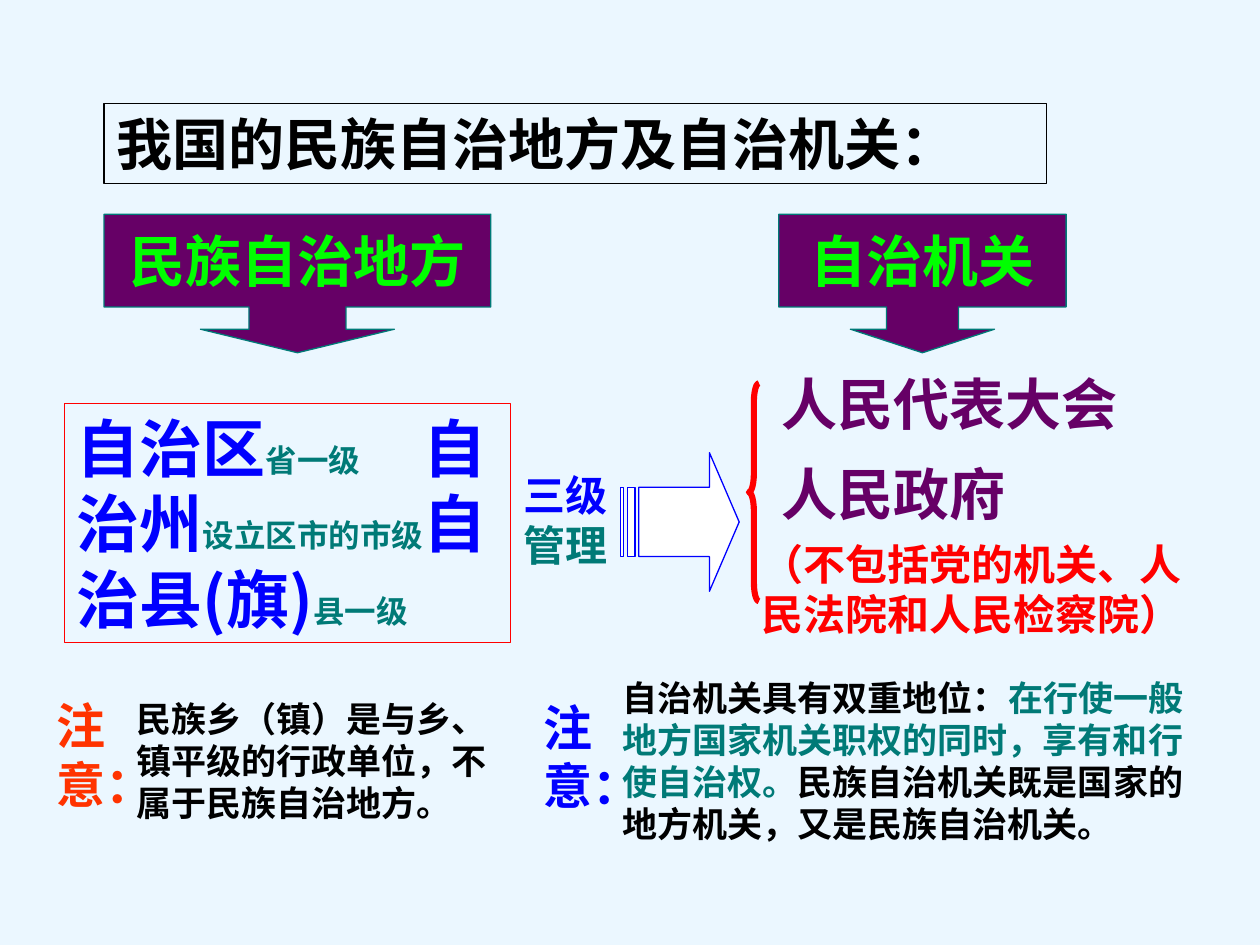
"""Build a slide on ethnic autonomous areas and their organs of self-government."""
from typing import NamedTuple

from lxml import etree
from pptx import Presentation
from pptx import util as u
from pptx.dml.color import RGBColor
from pptx.enum import shapes, text
from pptx.oxml import ns

Pt = u.Pt
BACKGROUND = RGBColor(0xEB, 0xF7, 0xFF)
BLACK = RGBColor(0x00, 0x00, 0x00)
WHITE = RGBColor(0xFF, 0xFF, 0xFF)
PURPLE = RGBColor(0x66, 0x00, 0x66)
TEAL = RGBColor(0x00, 0x7A, 0x77)
GREEN = RGBColor(0x00, 0xFF, 0x00)
BLUE = RGBColor(0x00, 0x00, 0xFF)
RED = RGBColor(0xFF, 0x00, 0x00)
ORANGE = RGBColor(0xFF, 0x33, 0x00)
ARIAL = "Arial"
NOTO_JP = "Noto Sans CJK JP"
NOTO_SC = "Noto Sans CJK SC"


class Box(NamedTuple):
    left: float
    top: float
    width: float
    height: float


class Run(NamedTuple):
    words: str
    size: float
    color: RGBColor
    font: str = ARIAL


class Label(NamedTuple):
    box: Box
    runs: list[Run]


class Callout(NamedTuple):
    box: Box
    words: str
    shaft: float


CALLOUTS = [
    Callout(Box(59.5, 122.4, 221, 79.2), "民族自治地方", 0.7),
    Callout(Box(445, 122.4, 164.2, 79.2), "自治机关", 0.52),
]
LEVELS = [
    Run("自治区", 36, BLUE, NOTO_JP),
    Run("省一级\t", 18, TEAL),
    Run("自治州", 36, BLUE, NOTO_JP),
    Run("设立区市的市级", 18, TEAL),
    Run("自治县(旗)", 36, BLUE, NOTO_JP),
    Run("县一级", 18, TEAL),
]
LABELS = [
    Label(Box(439.5, 207.4, 244, 46), [Run("人民代表大会", 32, PURPLE)]),
    Label(Box(439.5, 258.8, 249, 46), [Run("人民政府", 32, PURPLE)]),
    Label(Box(25.2, 394, 79.2, 41), [Run("注意：", 28, ORANGE)]),
    Label(Box(348.5, 383.3, 340.5, 103.7), [
        Run("自治机关具有双重地位：", 20, BLACK, NOTO_SC),
        Run("在行使一般地方国家机关职权的同时，享有和行使自治权。", 20, TEAL, NOTO_SC),
        Run("民族自治机关既是国家的地方机关，又是民族自治机关。", 20, BLACK, NOTO_SC),
    ]),
    Label(Box(292.3, 264.5, 68.4, 64.8), [Run("三级", 24, BLUE), Run("管理", 24, TEAL)]),
    Label(Box(428, 304, 263.5, 64.8), [
        Run("（不包括党的机关、人民法院和人民检察院）", 24, RED),
    ]),
    Label(Box(303.5, 394.8, 85, 41), [Run("注意：", 28, BLUE)]),
    Label(Box(70.8, 394.8, 226.8, 79.2), [
        Run("民族乡（镇）是与乡、镇平级的行政单位，不属于民族自治地方。", 20, BLACK),
    ]),
]


def write_text(shape, runs: list[Run], *, align=text.PP_ALIGN.LEFT,
               anchor=text.MSO_ANCHOR.TOP, wrap: bool = True, tab: float = 0) -> None:
    frame = shape.text_frame
    frame.word_wrap = wrap
    frame.auto_size = text.MSO_AUTO_SIZE.NONE
    frame.vertical_anchor = anchor
    frame.margin_left = frame.margin_right = Pt(7.2)
    frame.margin_top = frame.margin_bottom = Pt(3.6)
    paragraph = frame.paragraphs[0]
    paragraph.alignment = align
    paragraph.space_before = Pt(0)
    properties = paragraph._p.get_or_add_pPr()
    properties.set("eaLnBrk", "1")
    properties.set("hangingPunct", "0")
    if tab:
        stops = etree.SubElement(properties, ns.qn("a:tabLst"))
        etree.SubElement(stops, ns.qn("a:tab"), pos=str(Pt(tab)), algn="l")
    for item in runs:
        run = paragraph.add_run()
        run.text = item.words
        run.font.name = item.font
        run.font.size = Pt(item.size)
        run.font.bold = True
        run.font.color.rgb = item.color


def add_preset(slide, kind, box: Box, *, line: RGBColor, weight: float = 0.75,
               fill: RGBColor | None = None, adjustments: tuple[float, ...] = ()):
    shape = slide.shapes.add_shape(kind, *map(Pt, box))
    shape.shadow.inherit = False
    if fill is None:
        shape.fill.background()
    else:
        shape.fill.solid()
        shape.fill.fore_color.rgb = fill
    shape.line.color.rgb = line
    shape.line.width = Pt(weight)
    for index, value in enumerate(adjustments):
        shape.adjustments[index] = value
    return shape


def add_title(slide) -> None:
    title = slide.shapes.title
    title.left, title.top, title.width, title.height = map(Pt, Box(59.4, 59, 538.6, 46))
    title.line.color.rgb = BLACK
    title.line.width = Pt(0.75)
    write_text(title, [Run("我国的民族自治地方及自治机关：", 32, BLACK)])


def add_callout(slide, callout: Callout) -> None:
    shape = add_preset(slide, shapes.MSO_SHAPE.DOWN_ARROW_CALLOUT, callout.box,
                       line=TEAL, fill=PURPLE,
                       adjustments=(callout.shaft, callout.shaft, 0.17, 0.67))
    write_text(shape, [Run(callout.words, 32, GREEN)], align=text.PP_ALIGN.CENTER,
               anchor=text.MSO_ANCHOR.MIDDLE, wrap=False)


def add_label(slide, label: Label) -> None:
    write_text(slide.shapes.add_textbox(*map(Pt, label.box)), label.runs)


def main() -> None:
    presentation = Presentation()
    presentation.slide_width, presentation.slide_height = Pt(720), Pt(540)
    slide = presentation.slides.add_slide(presentation.slide_layouts[5])
    slide.background.fill.solid()
    slide.background.fill.fore_color.rgb = BACKGROUND
    add_title(slide)
    for callout in CALLOUTS:
        add_callout(slide, callout)
    levels = add_preset(slide, shapes.MSO_SHAPE.RECTANGLE,
                        Box(36.8, 230.4, 254.9, 136.8), line=RED)
    write_text(levels, LEVELS, tab=198)
    add_preset(slide, shapes.MSO_SHAPE.STRIPED_RIGHT_ARROW, Box(354.4, 258.7, 68, 79.2),
               line=BLUE, fill=WHITE, adjustments=(0.5, 0.25))
    add_preset(slide, shapes.MSO_SHAPE.LEFT_BRACE, Box(427.9, 219, 5.8, 124.6),
               line=RED, weight=3.5, adjustments=(1.8, 0.5))
    for label in LABELS:
        add_label(slide, label)
    presentation.save("out.pptx")


if __name__ == "__main__":
    main()
